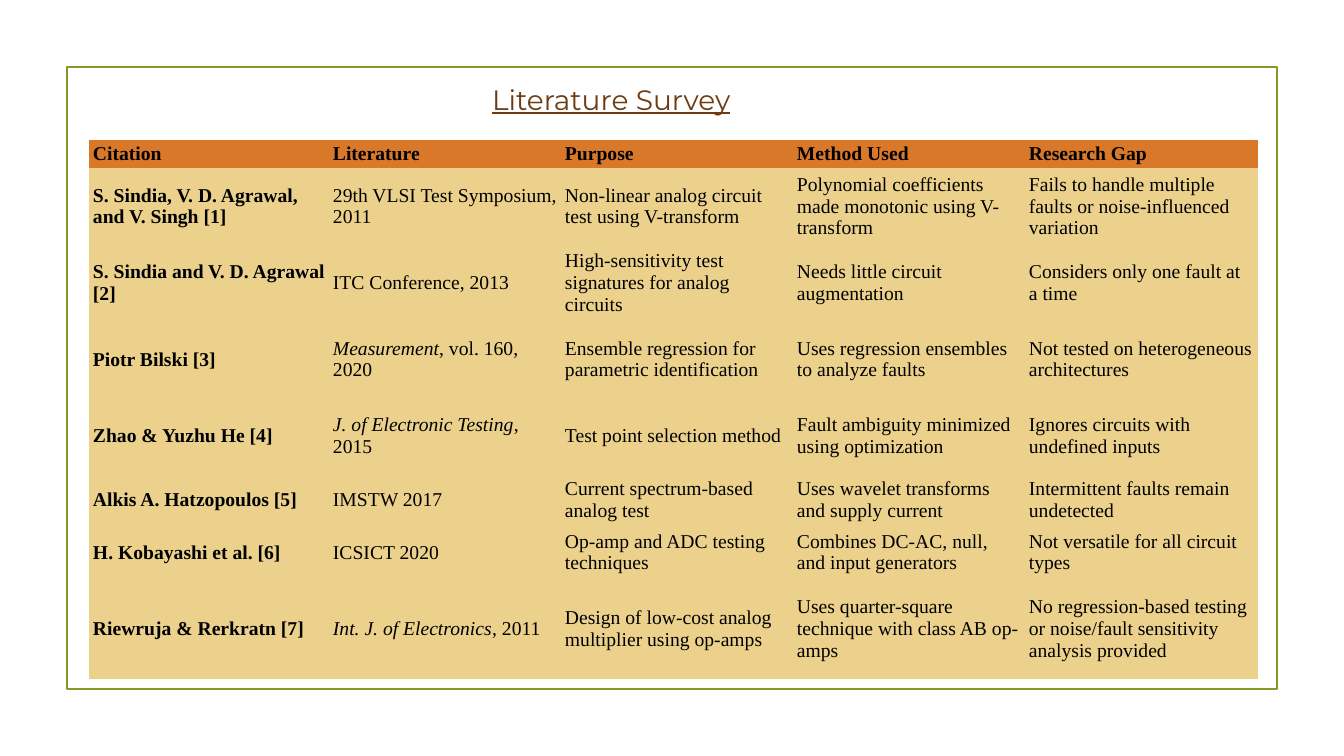
from dataclasses import dataclass

from pptx import Presentation
from pptx.dml.color import RGBColor
from pptx.enum.shapes import MSO_SHAPE
from pptx.enum.text import MSO_ANCHOR as Anchor, PP_ALIGN as Align
from pptx.oxml.ns import qn
from pptx.slide import Slide
from pptx.table import _Cell as Cell
from pptx.util import Emu, Pt

COLORS = {
    "frame": "83992A",
    "title": "6D3C13",
    "text": "000000",
    "header": "D97828",
    "body": "EBD18C",
}
NO_STYLE_NO_GRID = "{2D5ABB26-0587-4C30-8999-92F81FD0307C}"
HEADERS = ["Citation", "Literature", "Purpose", "Method Used", "Research Gap"]
COLUMN_WIDTHS = [240, 232, 232, 232, 233]
HEADER_HEIGHT = 28


@dataclass
class Paper:
    height: int
    citation: str
    journal: str  # set in italics, ahead of the venue
    venue: str
    purpose: str
    method: str
    gap: str


PAPERS = [
    Paper(77, "S. Sindia, V. D. Agrawal, and V. Singh [1]",
          "", "29th VLSI Test Symposium, 2011",
          "Non-linear analog circuit test using V-transform",
          "Polynomial coefficients made monotonic using V-transform",
          "Fails to handle multiple faults or noise-influenced variation"),
    Paper(76, "S. Sindia and V. D. Agrawal [2]",
          "", "ITC Conference, 2013",
          "High-sensitivity test signatures for analog circuits",
          "Needs little circuit augmentation",
          "Considers only one fault at a time"),
    Paper(77, "Piotr Bilski [3]",
          "Measurement", ", vol. 160, 2020",
          "Ensemble regression for parametric identification",
          "Uses regression ensembles to analyze faults",
          "Not tested on heterogeneous architectures"),
    Paper(76, "Zhao & Yuzhu He [4]",
          "J. of Electronic Testing", ", 2015",
          "Test point selection method",
          "Fault ambiguity minimized using optimization",
          "Ignores circuits with undefined inputs"),
    Paper(52, "Alkis A. Hatzopoulos [5]",
          "", "IMSTW 2017",
          "Current spectrum-based analog test",
          "Uses wavelet transforms and supply current",
          "Intermittent faults remain undetected"),
    Paper(53, "H. Kobayashi et al. [6]",
          "", "ICSICT 2020",
          "Op-amp and ADC testing techniques",
          "Combines DC-AC, null, and input generators",
          "Not versatile for all circuit types"),
    Paper(100, "Riewruja & Rerkratn [7]",
          "Int. J. of Electronics", ", 2011",
          "Design of low-cost analog multiplier using op-amps",
          "Uses quarter-square technique with class AB op-amps",
          "No regression-based testing or noise/fault sensitivity analysis provided"),
]


def px(n: int) -> Emu:
    return Emu(round(n * 914400 / 100.8))


def color(name: str) -> RGBColor:
    return RGBColor.from_string(COLORS[name])


def add_frame(s: Slide) -> None:
    sp = s.shapes.add_shape(MSO_SHAPE.RECTANGLE, px(67), px(67), px(1210), px(622))
    sp.shadow.inherit = False
    sp.fill.background()
    sp.line.color.rgb = color("frame")
    sp.line.width = Pt(1.25)


def set_title(s: Slide, text: str) -> None:
    sp = s.shapes.title
    sp.left, sp.top, sp.width, sp.height = px(482), px(77), px(447), px(44)
    tf = sp.text_frame
    tf.text = text
    tf.vertical_anchor = Anchor.TOP
    p = tf.paragraphs[0]
    p.alignment = Align.LEFT
    p.line_spacing = 1.0
    p.font.name = "Montserrat"
    p.font.size = Pt(20)
    p.font.underline = True
    p.font.color.rgb = color("title")


def fill_cell(cell: Cell, text: str, fill: str, bold: bool, journal: str = "") -> None:
    cell.fill.solid()
    cell.fill.fore_color.rgb = color(fill)
    cell.vertical_anchor = Anchor.MIDDLE
    cell.margin_left = cell.margin_right = px(4)
    cell.margin_top = cell.margin_bottom = px(2)
    p = cell.text_frame.paragraphs[0]
    if journal:
        r = p.add_run()
        r.text = journal
        r.font.italic = True
    p.add_run().text = text
    p.font.name = "Times New Roman"
    p.font.size = Pt(14)
    p.font.bold = bold
    p.font.color.rgb = color("text")


def add_survey(s: Slide) -> None:
    heights = [HEADER_HEIGHT] + [paper.height for paper in PAPERS]
    table = s.shapes.add_table(
        len(heights), len(HEADERS),
        px(89), px(140), px(sum(COLUMN_WIDTHS)), px(sum(heights))).table
    table.horz_banding = False
    table._tbl.tblPr.find(qn("a:tableStyleId")).text = NO_STYLE_NO_GRID
    for column, width in zip(table.columns, COLUMN_WIDTHS):
        column.width = px(width)
    for row, height in zip(table.rows, heights):
        row.height = px(height)

    for i, header in enumerate(HEADERS):
        fill_cell(table.cell(0, i), header, "header", True)
    for n, paper in enumerate(PAPERS, start=1):
        fill_cell(table.cell(n, 0), paper.citation, "body", True)
        fill_cell(table.cell(n, 1), paper.venue, "body", False, paper.journal)
        for i, text in enumerate((paper.purpose, paper.method, paper.gap), start=2):
            fill_cell(table.cell(n, i), text, "body", False)


def main() -> None:
    prs = Presentation()
    prs.slide_width, prs.slide_height = px(1344), px(756)
    s = prs.slides.add_slide(prs.slide_layouts[5])
    add_frame(s)
    set_title(s, "Literature Survey")
    add_survey(s)
    prs.save("out.pptx")


if __name__ == "__main__":
    main()
